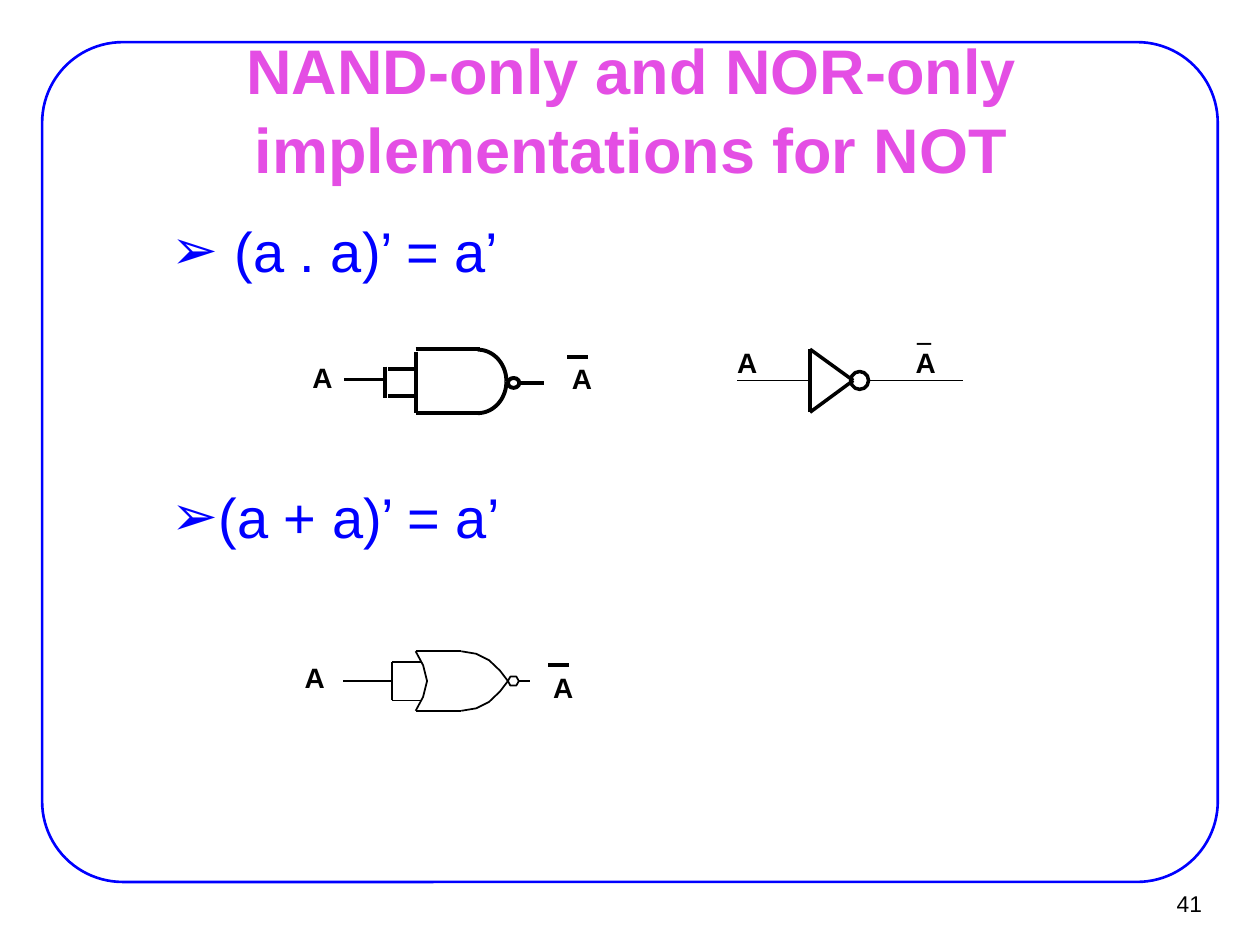
from math import cos, radians, sin
from typing import NamedTuple

from lxml.etree import SubElement
from pptx import Presentation
from pptx.dml.color import RGBColor
from pptx.enum.shapes import MSO_CONNECTOR, MSO_SHAPE
from pptx.enum.text import MSO_ANCHOR, PP_ALIGN
from pptx.oxml.ns import qn
from pptx.util import Cm, Pt

BLUE, PINK, BLACK = "0000FF", "E44EE4", "000000"


class Wire(NamedTuple):
    x1: float
    y1: float
    x2: float
    y2: float
    width: float


class Curve(NamedTuple):
    points: list
    width: float
    closed: bool = False


class Bubble(NamedTuple):
    x: float
    y: float
    w: float
    h: float
    width: float


class Label(NamedTuple):
    x: float
    y: float
    text: str = "A"
    font: str = "Arial"


class Rule(NamedTuple):
    y: float
    text: str
    margin: float
    indent: float


def paint(color, code: str) -> None:
    color.rgb = RGBColor.from_string(code)


def add_run(para, text: str, size: float, code: str, bold=False, font="Arial") -> None:
    run = para.add_run()
    run.text = text
    run.font.name, run.font.size, run.font.bold = font, Pt(size), bold
    paint(run.font.color, code)


def set_frame(frame, wrap: bool, side: float, top: float) -> None:
    frame.word_wrap = wrap
    frame.margin_left = frame.margin_right = Cm(side)
    frame.margin_top = frame.margin_bottom = Cm(top)


def outline(shape, code: str, width: float) -> None:
    shape.shadow.inherit = False
    shape.fill.background()
    paint(shape.line.color, code)
    shape.line.width = Pt(width)


def draw_wire(slide, wire: Wire) -> None:
    ends = [Cm(v) for v in wire[:4]]
    line = slide.shapes.add_connector(MSO_CONNECTOR.STRAIGHT, *ends)
    paint(line.line.color, BLACK)
    line.line.width = Pt(wire.width)
    SubElement(line._element.spPr, qn("a:effectLst"))


def draw_curve(slide, curve: Curve) -> None:
    first, *rest = [(Cm(x), Cm(y)) for x, y in curve.points]
    pen = slide.shapes.build_freeform(*first)
    pen.add_line_segments(rest, close=curve.closed)
    outline(pen.convert_to_shape(), BLACK, curve.width)


def draw_bubble(slide, ring: Bubble) -> None:
    box = [Cm(v) for v in ring[:4]]
    outline(slide.shapes.add_shape(MSO_SHAPE.OVAL, *box), BLACK, ring.width)


def draw_label(slide, label: Label) -> None:
    box = slide.shapes.add_textbox(Cm(label.x), Cm(label.y), Cm(0.91), Cm(0.94))
    set_frame(box.text_frame, False, 0.25, 0.13)
    add_run(box.text_frame.paragraphs[0], label.text, 16, BLACK, True, label.font)


def draw_rule(slide, rule: Rule) -> None:
    box = slide.shapes.add_textbox(Cm(1.91), Cm(rule.y), Cm(21.59), Cm(2.54))
    set_frame(box.text_frame, True, 0.28, 0.15)
    para = box.text_frame.paragraphs[0]
    para.space_before = Pt(8)
    props = para._p.get_or_add_pPr()
    props.set("marL", str(Cm(rule.margin)))
    props.set("indent", str(Cm(rule.indent)))
    tint = SubElement(props, qn("a:buClr"))
    SubElement(tint, qn("a:srgbClr")).set("val", BLUE)
    SubElement(props, qn("a:buFont")).set("typeface", "Arial")
    SubElement(props, qn("a:buChar")).set("char", "➢")
    add_run(para, rule.text, 32, BLUE)


def arc(start: int, end: int) -> list:
    """Points on the round front of the NAND gate."""
    turns = [radians(a) for a in range(start, end + 1, 5)]
    return [(9.63 + 0.58 * cos(t), 7.69 + 0.64 * sin(t)) for t in turns]


def mirror(points: list, axis: float) -> list:
    return [(x, 2 * axis - y) for x, y in points]


RULES = [
    Rule(4.22, "(a . a)’ = a’", 2.54, -1.27),
    Rule(9.58, "(a + a)’ = a’", 2.06, -0.79),
]

NAND = [
    Wire(10.49, 7.72, 10.97, 7.72, 2.25),
    *[Wire(7.82, y, 8.38, y, 2.25) for y in (7.44, 7.98)],
    *[Wire(8.38, y, 9.68, y, 2.25) for y in (7.04, 8.33)],
    Wire(8.38, 7.09, 8.38, 8.33, 2.25),
    Bubble(10.24, 7.62, 0.23, 0.2, 2.25),
    Curve(arc(-90, 0), 2.25),
    Curve(arc(0, 90), 2.25),
    Wire(7.77, 7.39, 7.77, 8.03, 2.25),
    Wire(7.77, 7.65, 6.93, 7.65, 2.25),
    Label(6.05, 7.14),
    Label(11.28, 7.16),
    Wire(11.43, 7.19, 11.86, 7.19, 2.25),
]

NOT = [
    Wire(17.5, 7.67, 19.41, 7.67, 1),
    *[Wire(17.2, 7.67, 16.33, y, 2) for y in (7.04, 8.31)],
    Wire(16.33, 8.31, 16.33, 7.04, 2),
    Wire(16.33, 7.67, 14.86, 7.67, 1),
    Label(18.21, 6.83),
    Label(14.61, 6.83),
    Label(18.24, 6.2, "_", "Times New Roman"),
    Bubble(17.15, 7.49, 0.36, 0.36, 2),
]

FRONT = [(10.24, 13.73), (10.08, 13.52), (9.86, 13.31), (9.6, 13.18), (9.3, 13.13)]
BACK = [(8.38, 14.33), (8.53, 14.05), (8.61, 13.73), (8.53, 13.41), (8.38, 13.13)]
HEX = [(10.46, 13.73), (10.41, 13.64), (10.29, 13.64),
       (10.24, 13.73), (10.29, 13.82), (10.41, 13.82)]
NOR = [
    Curve(FRONT, 1),
    Curve(mirror(FRONT, 13.73), 1),
    Curve(BACK, 1),
    Curve(HEX, 1, True),
    *[Wire(8.38, y, 9.3, y, 1) for y in (13.13, 14.33)],
    *[Wire(7.9, y, 8.48, y, 1) for y in (13.34, 14.12)],
    Wire(10.46, 13.73, 10.69, 13.73, 1),
    Wire(7.9, 13.34, 7.9, 14.12, 0.75),
    Wire(7.9, 13.73, 6.91, 13.73, 0.75),
    Label(5.89, 13.18),
    Label(10.9, 13.39),
    Wire(11.05, 13.41, 11.48, 13.41, 2.25),
]

DRAW = {Wire: draw_wire, Curve: draw_curve, Bubble: draw_bubble,
        Label: draw_label, Rule: draw_rule}


def main() -> None:
    deck = Presentation()
    deck.slide_width, deck.slide_height = Cm(25.4), Cm(19.05)
    slide = deck.slides.add_slide(deck.slide_layouts[5])

    # Title
    title = slide.shapes.title
    title.left, title.top = Cm(1.93), Cm(1.12)
    title.width, title.height = Cm(21.59), Cm(2.06)
    set_frame(title.text_frame, True, 0.28, 0.15)
    title.text_frame.vertical_anchor = MSO_ANCHOR.MIDDLE
    head = title.text_frame.paragraphs[0]
    head.alignment, head.line_spacing = PP_ALIGN.CENTER, 1.05
    add_run(head, "NAND-only and NOR-only implementations for NOT", 36, PINK, True)

    # Border, behind everything else
    border = slide.shapes.add_shape(
        MSO_SHAPE.ROUNDED_RECTANGLE, Cm(0.85), Cm(0.85), Cm(23.7), Cm(16.93))
    border.adjustments[0] = 0.096
    outline(border, BLUE, 1.5)
    slide.shapes._spTree.insert(2, border._element)

    # Page number
    page = slide.shapes.add_textbox(Cm(22.91), Cm(17.75), Cm(1.55), Cm(0.94))
    set_frame(page.text_frame, False, 0.23, 0.1)
    page.text_frame.vertical_anchor = MSO_ANCHOR.MIDDLE
    page.text_frame.paragraphs[0].alignment = PP_ALIGN.RIGHT
    add_run(page.text_frame.paragraphs[0], "41", 13, BLACK)

    # Rules and gates
    for part in RULES + NAND + NOT + NOR:
        DRAW[type(part)](slide, part)

    deck.save("out.pptx")


if __name__ == "__main__":
    main()
